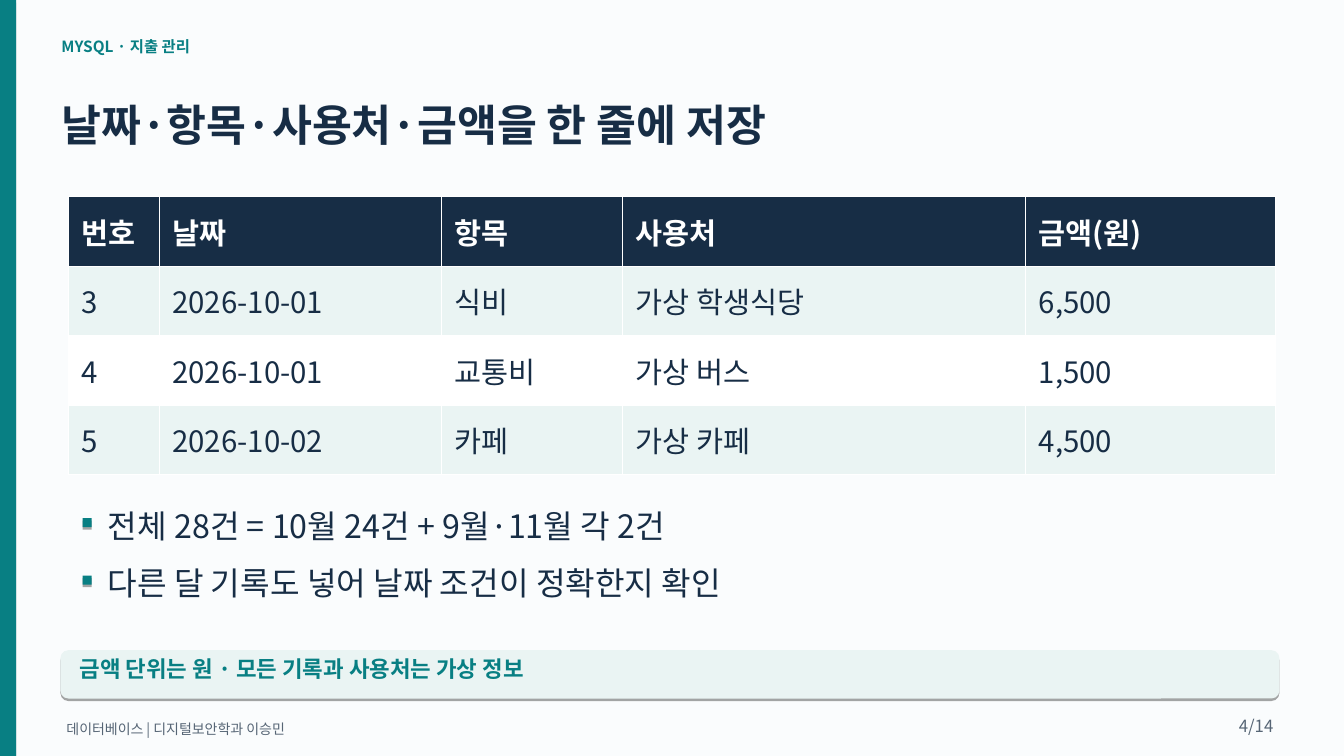
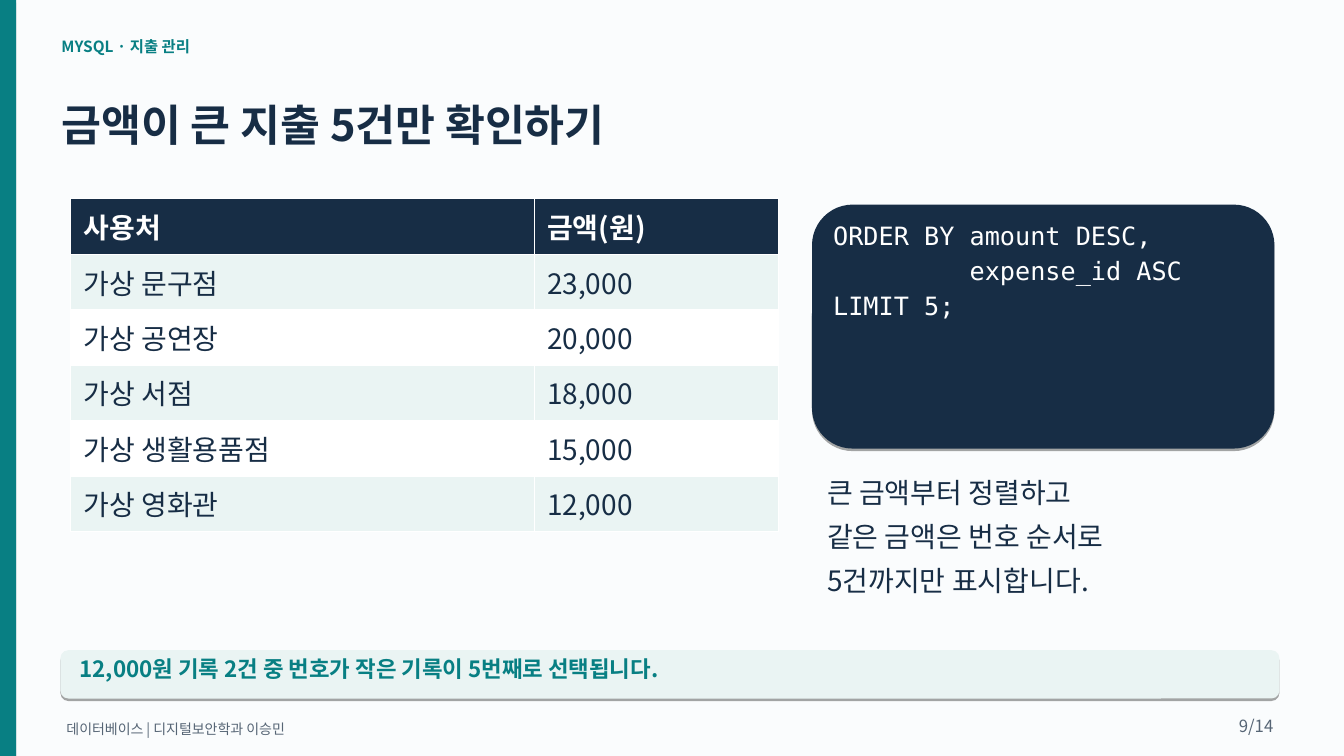
from lxml import etree
from pptx import Presentation
from pptx.dml.color import RGBColor
from pptx.enum.shapes import MSO_SHAPE
from pptx.enum.text import MSO_ANCHOR, MSO_AUTO_SIZE, PP_ALIGN
from pptx.oxml.ns import qn
from pptx.util import Pt

RECTANGLE = MSO_SHAPE.RECTANGLE
ROUNDED = MSO_SHAPE.ROUNDED_RECTANGLE
MIDDLE = MSO_ANCHOR.MIDDLE
NO_AUTOFIT = MSO_AUTO_SIZE.NONE
LEFT, RIGHT = PP_ALIGN.LEFT, PP_ALIGN.RIGHT

WIDTH, HEIGHT = 960.48, 540
BODY_FONT, CODE_FONT = "Noto Sans CJK KR", "DejaVu Sans Mono"
LINE_HEIGHT = 1.2
TOTAL_SLIDES = 14
COLORS = {
    "background": "FAFCFD",
    "accent": "087F83",
    "ink": "172D45",
    "tint": "EAF4F3",
    "white": "FFFFFF",
    "muted": "566575",
    "shadow": "000000",
}


def color(name):
    return RGBColor.from_string(COLORS[name])


def add_color(parent, name):
    return etree.SubElement(parent, qn("a:srgbClr"), val=COLORS[name])


class Deck:
    """Holds the style and the current slide."""

    def __init__(self):
        self.presentation = Presentation()
        self.presentation.slide_width = Pt(WIDTH)
        self.presentation.slide_height = Pt(HEIGHT)
        self.slide = None

    # Slide frame: side band, section label, title, note bar and footer
    def new_slide(self, number, title, note):
        layout = self.presentation.slide_layouts[6]
        self.slide = self.presentation.slides.add_slide(layout)
        fill = self.slide.background.fill
        fill.solid()
        fill.fore_color.rgb = color("background")
        self.block(0, 0, 11.52, HEIGHT, "accent")
        self.text("MYSQL · 지출 관리", 43.2, 25.2, 864, 15.84, 11, "accent", bold=True)
        self.text(title, 43.2, 68.4, 871.2, 40.32, 31, bold=True)
        self.block(43.2, 464.4, 871.2, 34.56, "tint", ROUNDED)
        self.text(note, 56.16, 466.56, 846, 22.32, 16, "accent", bold=True)
        self.text("데이터베이스 | 디지털보안학과 이승민",
                  46.8, 513.36, 770.4, 15.12, 10, "muted")
        self.text(f"{number}/{TOTAL_SLIDES}",
                  831.6, 509.76, 79.2, 17.28, 12, "muted", align=RIGHT)

    def block(self, left, top, width, height, fill, kind=RECTANGLE):
        shape = self.slide.shapes.add_shape(
            kind, Pt(left), Pt(top), Pt(width), Pt(height))
        shape.fill.solid()
        shape.fill.fore_color.rgb = color(fill)
        shape.line.fill.background()
        # Hard drop shadow straight below
        shape.shadow.inherit = False
        effects = shape.element.spPr.find(qn("a:effectLst"))
        shadow = etree.SubElement(
            effects, qn("a:outerShdw"), blurRad="0", dist=str(Pt(1.8)),
            dir="5400000", algn="ctr", rotWithShape="0")
        etree.SubElement(add_color(shadow, "shadow"), qn("a:alpha"), val="35000")

    def format_paragraph(self, paragraph, size, ink, bold, font=BODY_FONT):
        for run in paragraph.runs:
            run.font.name = font
            run.font.size = Pt(size)
            run.font.bold = bold
            run.font.color.rgb = color(ink)
            properties = run.font._element
            etree.SubElement(properties, qn("a:ea"), typeface=font)

    def text(self, content, left, top, width, height, size, ink="ink",
             bold=False, align=LEFT, font=BODY_FONT, gap=7.2):
        box = self.slide.shapes.add_textbox(
            Pt(left), Pt(top), Pt(width), Pt(height))
        frame = box.text_frame
        frame.word_wrap = True
        frame.auto_size = NO_AUTOFIT
        frame.margin_left = frame.margin_right = Pt(0.72)
        frame.margin_top = frame.margin_bottom = Pt(1.44)
        frame.text = content
        for paragraph in frame.paragraphs:
            paragraph.alignment = align
            paragraph.line_spacing = Pt(size * LINE_HEIGHT)
            paragraph.space_after = Pt(gap)
            self.format_paragraph(paragraph, size, ink, bold, font)

    def bullets(self, items, left, top, pitch):
        for index, item in enumerate(items):
            y = top + index * pitch
            self.block(left, y + 10.08, 6.48, 6.48, "accent")
            self.text(item, left + 17.28, y, 832.32, 30.24, 23)

    def table(self, rows, left, top, widths, row_height, size):
        table = self.slide.shapes.add_table(
            len(rows), len(widths), Pt(left), Pt(top),
            Pt(sum(widths)), Pt(row_height * len(rows))).table
        for column, width in zip(table.columns, widths):
            column.width = Pt(width)
        for row_index, values in enumerate(rows):
            table.rows[row_index].height = Pt(row_height)
            header = row_index == 0
            fill = "ink" if header else "tint" if row_index % 2 else "white"
            for column_index, value in enumerate(values):
                cell = table.cell(row_index, column_index)
                cell.text = value
                cell.vertical_anchor = MIDDLE
                cell.margin_left, cell.margin_right = Pt(9.36), Pt(6.48)
                cell.margin_top = cell.margin_bottom = Pt(3.6)
                self.format_paragraph(cell.text_frame.paragraphs[0], size,
                                      "white" if header else "ink", header)
                self.cell_borders(cell)
                cell.fill.solid()
                cell.fill.fore_color.rgb = color(fill)

    def cell_borders(self, cell):
        properties = cell._tc.get_or_add_tcPr()
        for side in ("a:lnL", "a:lnR", "a:lnT", "a:lnB"):
            line = etree.SubElement(properties, qn(side), w=str(Pt(0.45)))
            add_color(etree.SubElement(line, qn("a:solidFill")), "white")

    def code(self, content, left, top, width, height):
        self.block(left, top, width, height, "ink", ROUNDED)
        self.text(content, left + 14.4, top + 10.08, width - 28.8, 74.16, 18,
                  "white", font=CODE_FONT, gap=3.2)


def main():
    deck = Deck()

    # Records table
    deck.new_slide(4, "날짜·항목·사용처·금액을 한 줄에 저장",
                   "금액 단위는 원 · 모든 기록과 사용처는 가상 정보")
    deck.table([
        ("번호", "날짜", "항목", "사용처", "금액(원)"),
        ("3", "2026-10-01", "식비", "가상 학생식당", "6,500"),
        ("4", "2026-10-01", "교통비", "가상 버스", "1,500"),
        ("5", "2026-10-02", "카페", "가상 카페", "4,500"),
    ], 48.96, 140.4, (64.8, 201.6, 129.6, 288, 178.56), 49.68, 21)
    deck.bullets(["전체 28건 = 10월 24건 + 9월·11월 각 2건",
                  "다른 달 기록도 넣어 날짜 조건이 정확한지 확인"], 59.04, 360, 41.04)

    # Five largest expenses
    deck.new_slide(9, "금액이 큰 지출 5건만 확인하기",
                   "12,000원 기록 2건 중 번호가 작은 기록이 5번째로 선택됩니다.")
    deck.table([
        ("사용처", "금액(원)"),
        ("가상 문구점", "23,000"),
        ("가상 공연장", "20,000"),
        ("가상 서점", "18,000"),
        ("가상 생활용품점", "15,000"),
        ("가상 영화관", "12,000"),
    ], 50.4, 141.84, (331.2, 174.96), 39.6, 20)
    deck.code("ORDER BY amount DESC,\n         expense_id ASC\nLIMIT 5;",
              580.32, 146.16, 330.48, 174.24)
    deck.text("큰 금액부터 정렬하고\n같은 금액은 번호 순서로\n5건까지만 표시합니다.",
              590.4, 338.4, 316.8, 89.28, 20)

    deck.presentation.save("out.pptx")


if __name__ == "__main__":
    main()
